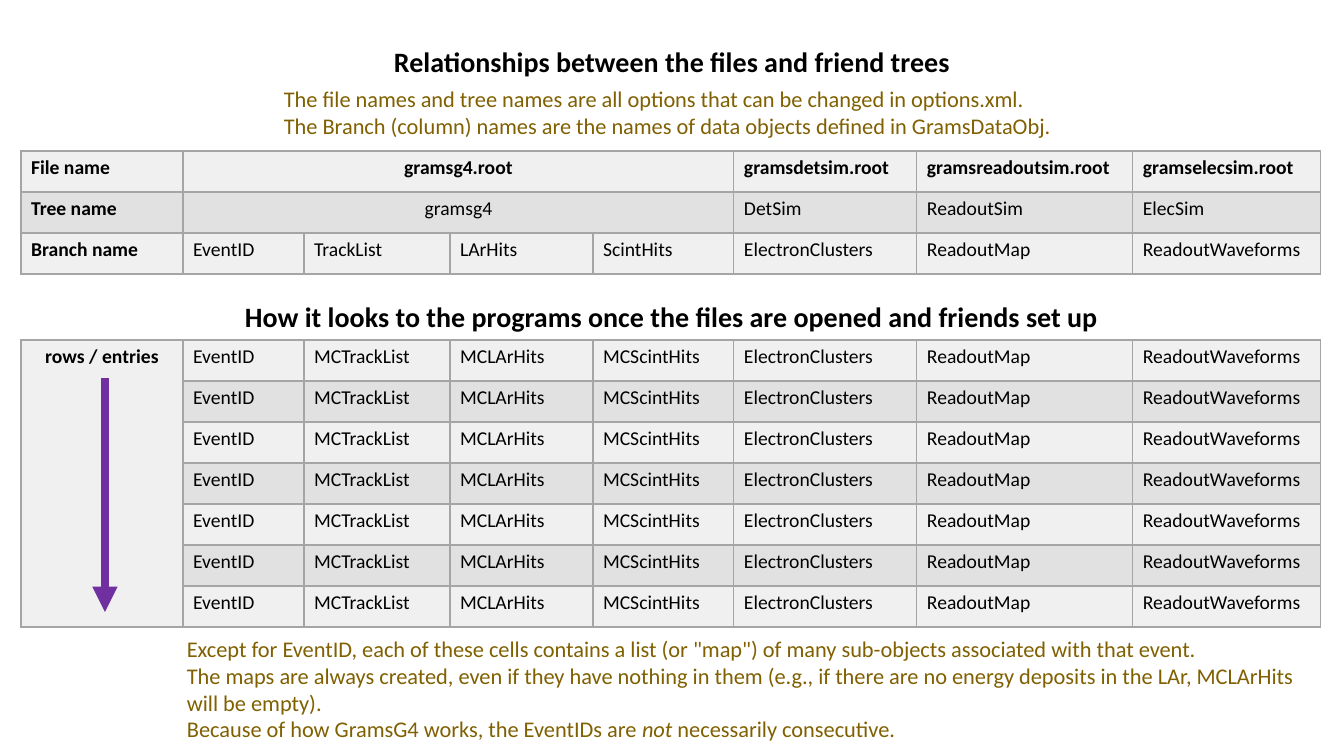
from pptx import Presentation
from pptx import util as u
from pptx.dml.color import RGBColor
from pptx.enum import shapes, text
from pptx.oxml import parse_xml
from pptx.oxml.ns import nsdecls

FONT = "Calibri"
COLORS = {"ink": "000000", "note": "806000", "border": "A5A5A5",
          "light": "F0F0F0", "dark": "E1E1E1", "arrow": "7030A0"}

TITLE = "Relationships between the files and friend trees"
SUBTITLE = "How it looks to the programs once the files are opened and friends set up"
NAMING_NOTES = [
    [("The file names and tree names are all options that can be changed in options.xml.", False)],
    [("The Branch (column) names are the names of data objects defined in GramsDataObj.", False)],
]
ENTRY_NOTES = [
    [('Except for EventID, each of these cells contains a list (or "map") of many '
      "sub-objects associated with that event.", False)],
    [("The maps are always created, even if they have nothing in them (e.g., if there are "
      "no energy deposits in the LAr, MCLArHits will be empty).", False)],
    [("Because of how GramsG4 works, the EventIDs are ", False), ("not", True),
     (" necessarily consecutive.", False)],
]
OUTPUTS = ["ElectronClusters", "ReadoutMap", "ReadoutWaveforms"]
FILES = [
    ["File name", "gramsg4.root", "", "", "",
     "gramsdetsim.root", "gramsreadoutsim.root", "gramselecsim.root"],
    ["Tree name", "gramsg4", "", "", "", "DetSim", "ReadoutSim", "ElecSim"],
    ["Branch name", "EventID", "TrackList", "LArHits", "ScintHits"] + OUTPUTS,
]
ENTRY = ["EventID", "MCTrackList", "MCLArHits", "MCScintHits"] + OUTPUTS
ENTRIES = [[label] + ENTRY for label in ["rows / entries"] + [""] * 6]

COLUMNS = [162, 121, 146, 143, 141, 183, 216, 188]
ROW = 41
TABLE_LEFT = 21


def px(n):
    return u.Emu(round(n * 914400 / 100.8))


def rgb(name):
    return RGBColor.from_string(COLORS[name])


def add_run(p, words, size, color="ink", bold=False, italic=False):
    r = p.add_run()
    r.text = words
    r.font.name, r.font.size = FONT, u.Pt(size)
    r.font.bold, r.font.italic = bold, italic
    r.font.color.rgb = rgb(color)


def write_heading(sp, words, box):
    sp.left, sp.top, sp.width, sp.height = map(px, box)
    tf = sp.text_frame
    tf.word_wrap = False
    tf.auto_size = text.MSO_AUTO_SIZE.NONE
    tf.vertical_anchor = text.MSO_ANCHOR.TOP
    p = tf.paragraphs[0]
    p.alignment = text.PP_ALIGN.CENTER
    p.line_spacing = 1.0
    add_run(p, words, 20, bold=True)


def add_notes(s, lines, box):
    tf = s.shapes.add_textbox(*map(px, box)).text_frame
    tf.word_wrap = True
    for i, line in enumerate(lines):
        p = tf.add_paragraph() if i else tf.paragraphs[0]
        for words, italic in line:
            add_run(p, words, 16, "note", italic=italic)


def style_cell(cell, fill):
    tcPr = cell._tc.get_or_add_tcPr()
    for side in "LRTB":
        tcPr.append(parse_xml(
            f'<a:ln{side} {nsdecls("a")} w="12700"><a:solidFill>'
            f'<a:srgbClr val="{COLORS["border"]}"/></a:solidFill></a:ln{side}>'))
    cell.fill.solid()
    cell.fill.fore_color.rgb = rgb(fill)


def add_grid(s, rows, top, merges, bold_rows=()):
    frame = s.shapes.add_table(len(rows), len(COLUMNS), px(TABLE_LEFT), px(top),
                               px(sum(COLUMNS)), px(ROW * len(rows)))
    table = frame.table
    table.first_row = table.horz_banding = False
    for column, width in zip(table.columns, COLUMNS):
        column.width = px(width)
    for i, row in enumerate(rows):
        table.rows[i].height = px(ROW)
        for j, words in enumerate(row):
            cell = table.cell(i, j)
            style_cell(cell, "dark" if i % 2 else "light")
            if words:
                add_run(cell.text_frame.paragraphs[0], words, 14,
                        bold=j == 0 or i in bold_rows)
    for first, last in merges:
        cell = table.cell(*first)
        cell.merge(table.cell(*last))
        cell.text_frame.paragraphs[0].alignment = text.PP_ALIGN.CENTER


def add_entry_arrow(s, x, top, bottom):
    arrow = s.shapes.add_connector(shapes.MSO_CONNECTOR.STRAIGHT,
                                   px(x), px(top), px(x), px(bottom))
    arrow.line.color.rgb = rgb("arrow")
    arrow.line.width = u.Pt(6)
    arrow.line._get_or_add_ln().append(
        parse_xml(f'<a:tailEnd {nsdecls("a")} type="triangle"/>'))
    arrow._element.spPr.append(parse_xml(f'<a:effectLst {nsdecls("a")}/>'))


def main():
    prs = Presentation()
    prs.slide_width, prs.slide_height = px(1344), px(756)
    s = prs.slides.add_slide(prs.slide_layouts[5])
    write_heading(s.shapes.title, TITLE, (381, 39, 582, 44))
    add_grid(s, FILES, 151, [((0, 1), (0, 4)), ((1, 1), (1, 4))], bold_rows=(0,))
    add_notes(s, NAMING_NOTES, (274, 80, 794, 65))
    add_grid(s, ENTRIES, 340, [((0, 0), (6, 0))])
    subtitle_box = (231, 295, 881, 44)
    write_heading(s.shapes.add_textbox(*map(px, subtitle_box)), SUBTITLE, subtitle_box)
    add_entry_arrow(s, 105, 378, 612)
    add_notes(s, ENTRY_NOTES, (177, 630, 1145, 119))
    prs.save("out.pptx")


if __name__ == "__main__":
    main()
